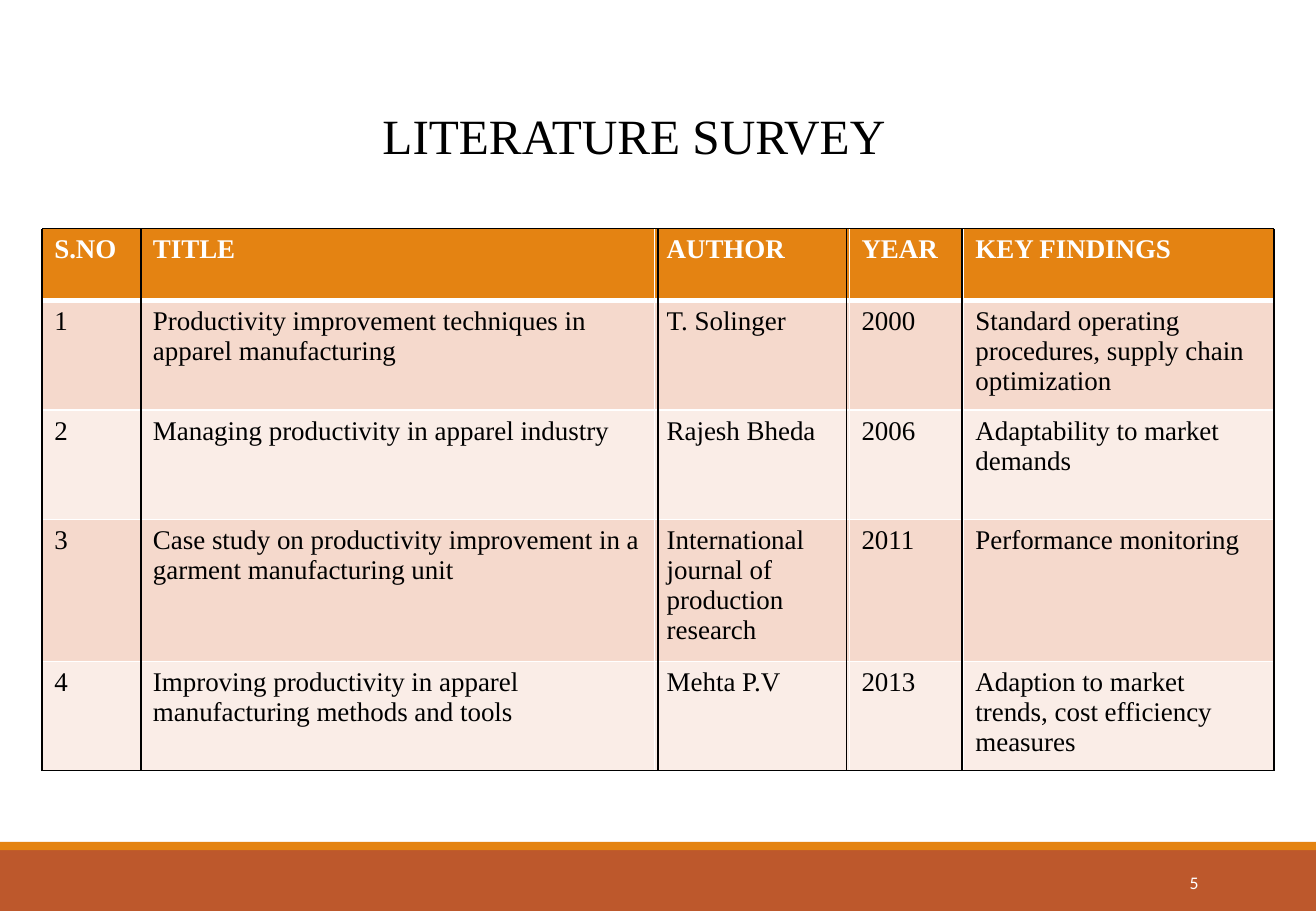
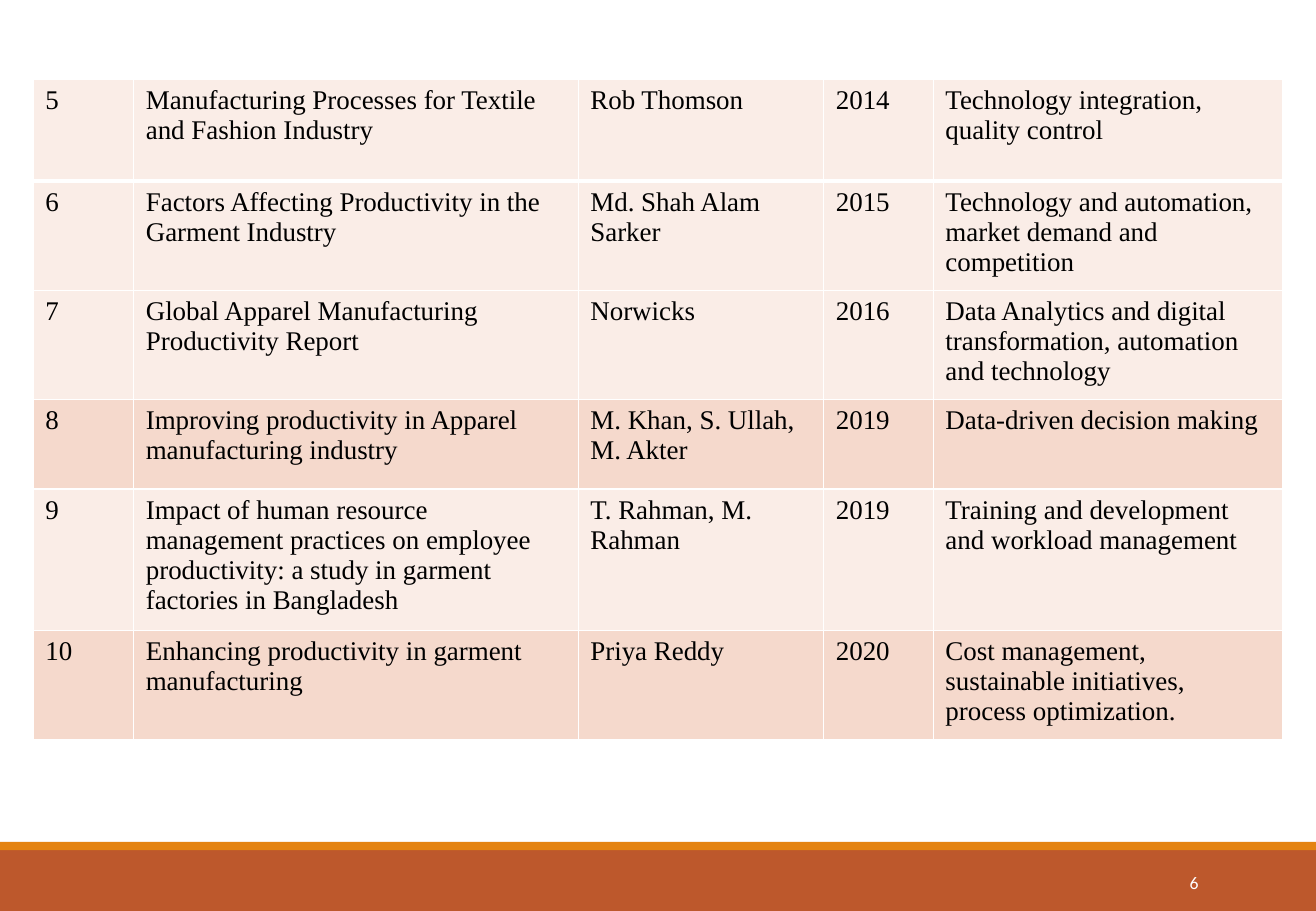
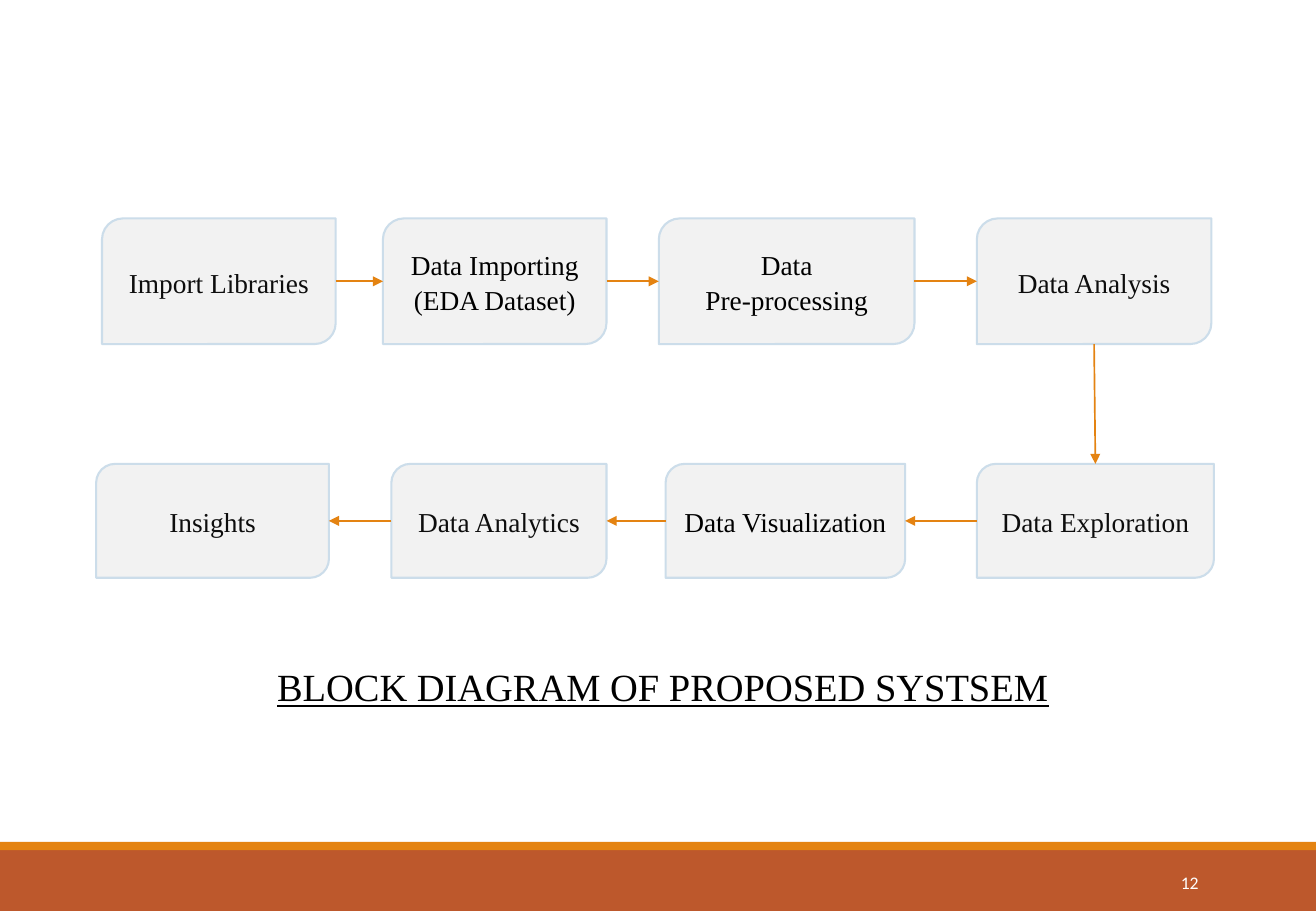
import pptx
import pptx.dml.color
import pptx.enum.shapes
import pptx.enum.text
import pptx.oxml
import pptx.oxml.ns
import pptx.util
from lxml import etree

Pt = pptx.util.Pt
qn = pptx.oxml.ns.qn
ANCHOR = pptx.enum.text.MSO_ANCHOR
ALIGN = pptx.enum.text.PP_ALIGN
SHAPE = pptx.enum.shapes.MSO_SHAPE
STRAIGHT = pptx.enum.shapes.MSO_CONNECTOR.STRAIGHT

WIDTH, HEIGHT = 780, 540
SERIF, SANS = "Times New Roman", "Calibri"
ORANGE, RUST, WHITE, BLACK = "E48312", "BD582C", "FFFFFF", "000000"
PEACH, PALE = "F5D9CC", "FAEDE7"
BOX_FILL, BOX_EDGE, INK = "F2F2F2", "CCDDEA", "0D0D0D"
TOP, LEFT, BOTTOM, RIGHT = range(4)

HEADINGS = ["S.NO", "TITLE", "AUTHOR", "YEAR", "KEY FINDINGS"]
EARLY_STUDIES = [
    ["1", "Productivity improvement techniques in apparel manufacturing",
     "T. Solinger", "2000",
     "Standard operating procedures, supply chain optimization"],
    ["2", "Managing productivity in apparel industry",
     "Rajesh Bheda", "2006", "Adaptability to market demands"],
    ["3", "Case study on productivity improvement in a garment manufacturing unit",
     "International journal of production research", "2011",
     "Performance monitoring"],
    ["4", "Improving productivity in apparel manufacturing methods and tools",
     "Mehta P.V", "2013",
     "Adaption to market trends, cost efficiency measures"],
]
LATER_STUDIES = [
    ["5", "Manufacturing Processes for Textile and Fashion Industry",
     "Rob Thomson", "2014", "Technology integration, quality control"],
    ["6", "Factors Affecting Productivity in the Garment Industry",
     "Md. Shah Alam Sarker", "2015",
     "Technology and automation, market demand and competition"],
    ["7", "Global Apparel Manufacturing Productivity Report",
     "Norwicks", "2016",
     "Data Analytics and digital transformation, automation and technology"],
    ["8", "Improving productivity in Apparel manufacturing industry",
     "M. Khan, S. Ullah, M. Akter", "2019", "Data-driven decision making"],
    ["9", "Impact of human resource management practices on employee "
          "productivity: a study in garment factories in Bangladesh",
     "T. Rahman, M. Rahman", "2019",
     "Training and development and workload management"],
    ["10", "Enhancing productivity in garment manufacturing",
     "Priya Reddy", "2020",
     "Cost management, sustainable initiatives, process optimization."],
]
UPPER_STEPS = [
    ("Import Libraries", 60.5, 138.5, INK),
    ("Data Importing\n(EDA Dataset)", 227, 132.5, BLACK),
    ("Data\nPre-processing", 390.5, 151.5, BLACK),
    ("Data Analysis", 579, 139, INK),
]
LOWER_STEPS = [
    ("Data Exploration", 579, 140.5, INK),
    ("Data Visualization", 394.5, 142, BLACK),
    ("Data Analytics", 232, 127.5, INK),
    ("Insights", 57, 138, INK),
]


def rgb(code):
    return pptx.dml.color.RGBColor.from_string(code)


def style_text(frame, size, color=BLACK, font=SERIF, align=ALIGN.LEFT, **flags):
    for paragraph in frame.paragraphs:
        paragraph.alignment = align
        paragraph.font.name = font
        paragraph.font.size = Pt(size)
        paragraph.font.color.rgb = rgb(color)
        for flag, value in flags.items():
            setattr(paragraph.font, flag, value)


def paint(item, color):
    item.fill.solid()
    item.fill.fore_color.rgb = rgb(color)


def add_bands(prs, slide):
    master_tree = prs.slide_master.shapes.element
    for index, (top, height, color) in enumerate([(504, 36, RUST), (499, 5, ORANGE)]):
        band = slide.shapes.add_shape(
            SHAPE.RECTANGLE, 0, Pt(top), Pt(WIDTH), Pt(height))
        band.shadow.inherit = False
        paint(band, color)
        band.line.fill.background()
        master_tree.insert(2 + index, band.element)


def add_page_number(slide, number):
    page = slide.shapes.add_textbox(Pt(633.5), Pt(508.5), Pt(84), Pt(28.5))
    page.text_frame.word_wrap = True
    page.text_frame.vertical_anchor = ANCHOR.MIDDLE
    page.text_frame.text = str(number)
    style_text(page.text_frame, 10.5, WHITE, SANS, ALIGN.RIGHT)


def new_slide(prs, number, titled=True):
    slide = prs.slides.add_slide(prs.slide_layouts[5 if titled else 6])
    add_page_number(slide, number)
    return slide


def set_title(slide, text, left, top, width, height, size, **flags):
    title = slide.shapes.title
    title.left, title.top, title.width, title.height = map(
        Pt, (left, top, width, height))
    title.text_frame.text = text
    title.text_frame.auto_size = pptx.enum.text.MSO_AUTO_SIZE.NONE
    title.text_frame.vertical_anchor = ANCHOR.TOP
    style_text(title.text_frame, size, **flags)


def set_borders(cell, bottom_width):
    props = cell._tc.get_or_add_tcPr()
    for side, width in (("L", 1), ("R", 1), ("T", 1), ("B", bottom_width)):
        line = etree.SubElement(props, qn("a:ln" + side), w=str(Pt(width)))
        fill = etree.SubElement(line, qn("a:solidFill"))
        etree.SubElement(fill, qn("a:srgbClr"), val=WHITE)


def add_studies(slide, rows, left, top, widths, heights, fills, headed=False):
    table = slide.shapes.add_table(
        len(rows), len(widths), Pt(left), Pt(top),
        Pt(sum(widths)), Pt(sum(heights))).table
    table.first_row = headed
    table.horz_banding = False
    for column, width in zip(table.columns, widths):
        column.width = Pt(width)
    for r, (texts, height, fill) in enumerate(zip(rows, heights, fills)):
        table.rows[r].height = Pt(height)
        heading = headed and r == 0
        for c, text in enumerate(texts):
            cell = table.cell(r, c)
            cell.text = text
            style_text(cell.text_frame, 16, WHITE if heading else BLACK, bold=heading)
            set_borders(cell, 3 if r == 0 else 1)
            paint(cell, fill)


def add_line(slide, start, end, color):
    line = slide.shapes.add_connector(STRAIGHT, *map(Pt, start + end))
    line.line.color.rgb = rgb(color)
    line.line.width = Pt(1)
    etree.SubElement(line.element.spPr, qn("a:effectLst"))
    return line


def add_arrow(slide, source, source_side, target, target_side):
    arrow = add_line(slide, (0, 0), (0, 0), ORANGE)
    arrow.begin_connect(source, source_side)
    arrow.end_connect(target, target_side)
    outline = arrow.element.spPr.find(qn("a:ln"))
    etree.SubElement(outline, qn("a:tailEnd"), type="triangle")


def add_step(slide, text, left, top, width, height, color):
    step = slide.shapes.add_shape(
        SHAPE.ROUND_2_DIAG_RECTANGLE, Pt(left), Pt(top), Pt(width), Pt(height))
    step.shadow.inherit = False
    paint(step, BOX_FILL)
    step.line.color.rgb = rgb(BOX_EDGE)
    step.line.width = Pt(1.25)
    frame = step.text_frame
    frame.margin_left = frame.margin_right = Pt(3)
    frame.vertical_anchor = ANCHOR.MIDDLE
    frame.text = text
    style_text(frame, 16.2, color, align=ALIGN.CENTER)
    for paragraph in frame.paragraphs:
        paragraph.line_spacing = 1.07
    return step


def add_steps(slide, steps, top, height, exit_side, entry_side):
    boxes = [add_step(slide, text, left, top, width, height, color)
             for text, left, width, color in steps]
    for source, target in zip(boxes, boxes[1:]):
        add_arrow(slide, source, exit_side, target, entry_side)
    return boxes


def build_survey(slide):
    set_title(slide, "LITERATURE SURVEY", 219.5, 58.5, 340.5, 42.5, 29.2)
    left, top, right, bottom = 25, 135.5, 755, 456.75
    add_studies(slide, [HEADINGS] + EARLY_STUDIES, left, top,
                [58.5, 304.5, 115.5, 67.5, 184], [42.5, 65, 65, 84, 65],
                [ORANGE, PEACH, PALE, PEACH, PALE], headed=True)
    for y in (top, bottom):
        add_line(slide, (left, y), (right, y), BLACK)
    for x in (left, 83.5, 390, 501.75, 570.25, right):
        add_line(slide, (x, top), (x, bottom), BLACK)


def build_survey_continued(slide):
    add_studies(slide, LATER_STUDIES, 19.75, 46.75,
                [59.5, 263.5, 145.5, 65, 207], [60.5, 60.5, 60.5, 53, 78.5, 60.5],
                [PALE, PALE, PALE, PEACH, PALE, PEACH])


def build_block_diagram(slide):
    upper = add_steps(slide, UPPER_STEPS, 129.5, 74.5, RIGHT, LEFT)
    lower = add_steps(slide, LOWER_STEPS, 275, 67.5, LEFT, RIGHT)
    add_arrow(slide, upper[-1], BOTTOM, lower[0], TOP)
    set_title(slide, "BLOCK DIAGRAM OF PROPOSED SYSTSEM",
              157, 389.5, 486, 34.5, 22.8, underline=True)


def main():
    prs = pptx.Presentation()
    prs.slide_width, prs.slide_height = Pt(WIDTH), Pt(HEIGHT)
    survey = new_slide(prs, 5)
    add_bands(prs, survey)
    build_survey(survey)
    build_survey_continued(new_slide(prs, 6, titled=False))
    build_block_diagram(new_slide(prs, 12))
    prs.save("out.pptx")


if __name__ == "__main__":
    main()
